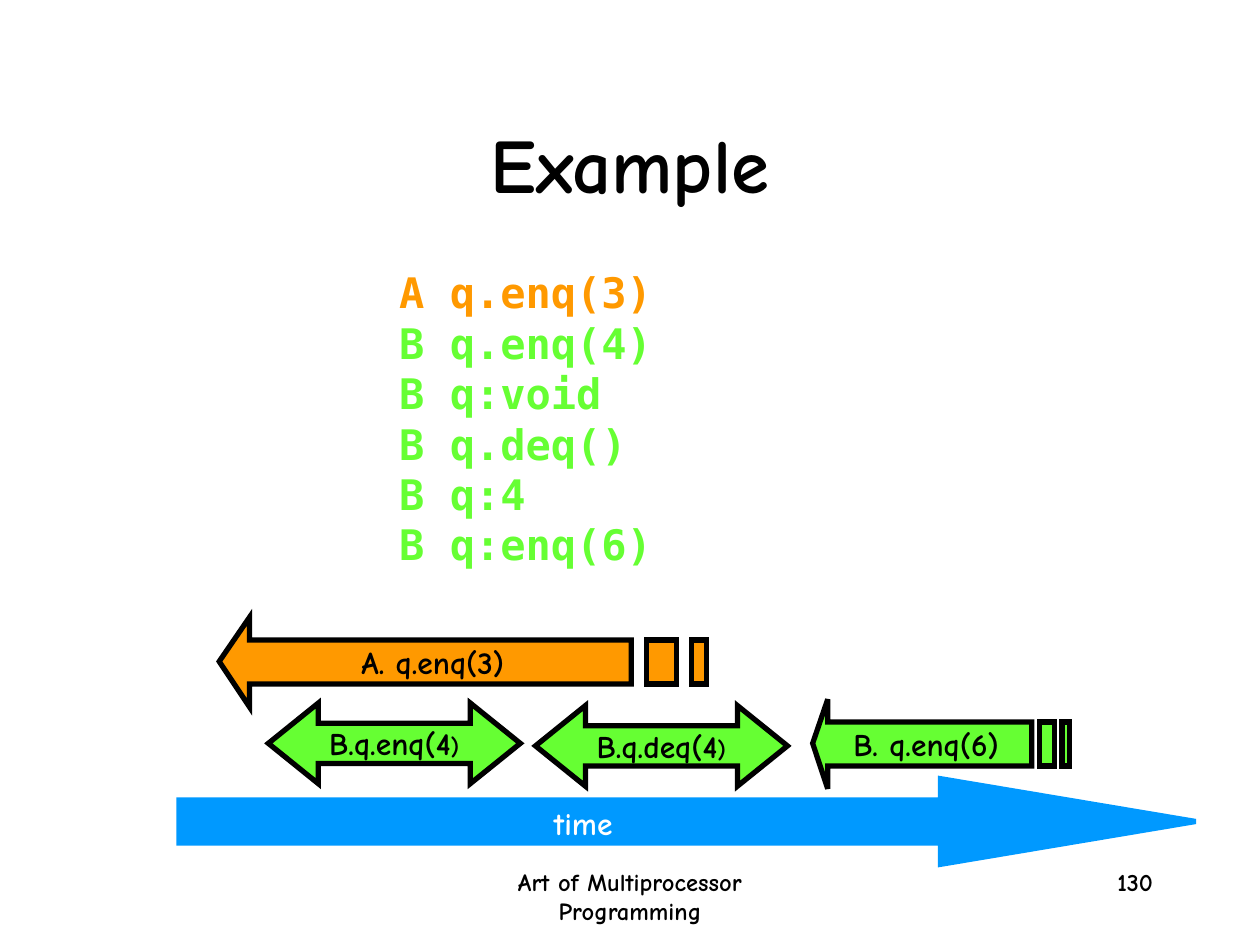
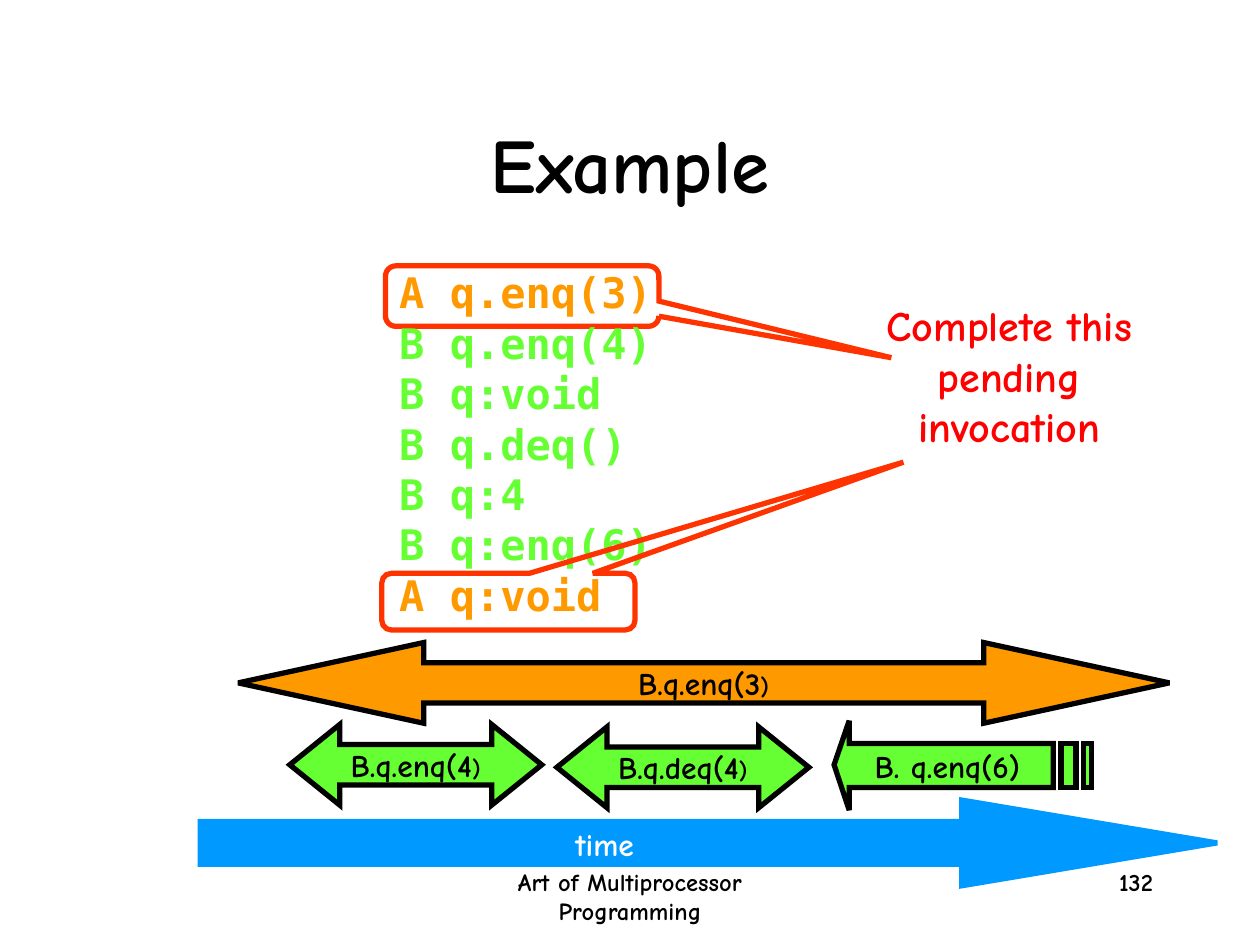
from dataclasses import dataclass

from lxml import etree
from pptx import Presentation
from pptx import util as u
from pptx.dml.color import RGBColor
from pptx.enum import shapes, text
from pptx.oxml.ns import qn

PX = u.Inches(1) // 100
KIND = shapes.MSO_SHAPE
ALIGN = text.PP_ALIGN
MID = text.MSO_ANCHOR.MIDDLE


@dataclass(frozen=True)
class Theme:
    """Colours, fonts and type sizes."""
    ink: str = "000000"
    white: str = "FFFFFF"
    orange: str = "FF9900"
    green: str = "66FF33"
    blue: str = "0099FF"
    ring: str = "FF3300"
    red: str = "FF0000"
    sans: str = "Comic Neue"
    mono: str = "DejaVu Sans Mono"
    title: int = 44
    body: int = 24
    label: int = 18
    small: int = 14
    stroke: int = 3


def write(frame, lines, size, color, font, align=ALIGN.CENTER, anchor=text.MSO_ANCHOR.TOP,
          wrap=True, pitch=None, pads=(10, 10)):
    """Fill a frame; each line is a list of (text, overrides) runs."""
    frame.word_wrap = wrap
    frame.auto_size = text.MSO_AUTO_SIZE.NONE
    frame.vertical_anchor = anchor
    frame.margin_left, frame.margin_right = (pad * PX for pad in pads)
    frame.margin_top = frame.margin_bottom = 5 * PX
    for i, line in enumerate(lines):
        para = frame.add_paragraph() if i else frame.paragraphs[0]
        para.alignment = align
        if pitch:
            para.line_spacing = u.Pt(pitch)
        for words, over in line:
            run = para.add_run()
            run.text = words
            run.font.name = font
            run.font.bold = True
            run.font.size = u.Pt(over.get("size", size))
            run.font.color.rgb = RGBColor.from_string(over.get("color", color))


class Deck:
    """Holds the theme, the file and the current slide."""

    def __init__(self, theme):
        self.theme = theme
        self.file = Presentation()
        self.file.slide_width, self.file.slide_height = 1000 * PX, 750 * PX
        self.slide = None

    def page(self, title, number):
        """Start a slide with its title and footer."""
        t = self.theme
        self.slide = self.file.slides.add_slide(self.file.slide_layouts[5])
        self.note([[("Art of Multiprocessor Programming", {})]], 342, 683, 316, 50, size=t.small)
        self.note([[(str(number), {})]], 717, 683, 208, 50, size=t.small, align=ALIGN.RIGHT)
        head = self.slide.shapes.title
        head.left, head.top, head.width, head.height = (n * PX for n in (75, 67, 850, 125))
        write(head.text_frame, [[(title, {})]], t.title, t.ink, t.sans, anchor=MID)

    def note(self, lines, x, y, w, h, size=None, color=None, font=None, **form):
        """Add a text box."""
        t = self.theme
        box = self.slide.shapes.add_textbox(x * PX, y * PX, w * PX, h * PX)
        write(box.text_frame, lines, size or t.body, color or t.ink, font or t.sans, **form)
        return box

    def paint(self, shape, fill, line):
        """Set fill and a sharp-cornered outline."""
        shape.shadow.inherit = False
        if fill:
            shape.fill.solid()
            shape.fill.fore_color.rgb = RGBColor.from_string(fill)
        else:
            shape.fill.background()
        shape.line.color.rgb = RGBColor.from_string(line)
        shape.line.width = u.Pt(self.theme.stroke)
        etree.SubElement(shape.line._get_or_add_ln(), qn("a:miter"), lim="800000")

    def shape(self, kind, x, y, w, h, adjust, fill, line):
        """Add a preset shape."""
        item = self.slide.shapes.add_shape(kind, x * PX, y * PX, w * PX, h * PX)
        for i, value in enumerate(adjust):
            item.adjustments[i] = value
        self.paint(item, fill, line)
        return item

    def label(self, item, runs, **form):
        """Write the centred label of an arrow."""
        t = self.theme
        write(item.text_frame, [runs], t.label, t.ink, t.sans, anchor=MID, wrap=False, **form)

    def span(self, call, x, y, w, fill, head=0.62):
        """Add a two-headed arrow for a finished call."""
        t = self.theme
        item = self.shape(KIND.LEFT_RIGHT_ARROW, x, y, w, 64, (0.5, head), fill, t.ink)
        self.label(item, [(call, {}), (")", {"size": t.small})])

    def open(self, call, x, y, w, unit, fill):
        """Add a left arrow with a striped tail for a pending call."""
        top, low, neck, end = y + 18, y + 53, x + 2 * unit, x + w
        tail = end - 5 * unit
        pen = self.slide.shapes.build_freeform(neck, y, scale=PX)
        pen.add_line_segments([(neck, top), (tail, top), (tail, low), (neck, low),
                               (neck, y + 71), (x, y + 35)])
        for left, right in ((end - 4 * unit, end - 2 * unit), (end - unit, end)):
            pen.move_to(right, top)
            pen.add_line_segments([(right, low), (left, low), (left, top)])
        item = pen.convert_to_shape()
        self.paint(item, fill, self.theme.ink)
        self.label(item, [(call, {})], pads=(10 + unit, 10 + 5 * unit))

    def ring(self, x, y, w, h, tip):
        """Add an outlined callout whose tail ends at tip."""
        self.shape(KIND.ROUNDED_RECTANGULAR_CALLOUT, x, y, w, h, (*tip, 0.17), None,
                   self.theme.ring)

    def code(self, calls):
        """List the history, coloured by thread."""
        t = self.theme
        hues = {"A": t.orange, "B": t.green}
        lines = [[(call, {"color": hues[call[0]]})] for call in calls]
        self.note(lines, 307, 207, 305, 10 + 40 * len(calls), font=t.mono,
                  align=ALIGN.LEFT, pitch=28.8)

    def axis(self, shift=0):
        """Add the time arrow and thread B's calls."""
        t = self.theme
        arrow = self.shape(KIND.RIGHT_ARROW, 142 + shift, 618 + shift, 807, 68, (0.5, 2.98),
                           t.blue, t.blue)
        name = self.note([[("time", {})]], 430 + shift, 633 + shift, 66, 40, size=t.label,
                         color=t.white, align=ALIGN.RIGHT, wrap=False)
        self.slide.shapes.add_group_shape([arrow, name])
        self.span("B.q.enq(4", 213 + shift, 558 + shift, 200, t.green)
        self.span("B.q.deq(4", 425 + shift, 560 + shift, 200, t.green)
        self.open("B. q.enq(6)", 645 + shift, 555 + shift, 204, 6, t.green)


def main():
    """Build both slides."""
    t = Theme()
    deck = Deck(t)
    calls = ["A q.enq(3)", "B q.enq(4)", "B q:void", "B q.deq()", "B q:4", "B q:enq(6)"]

    deck.page("Example", 130)
    deck.code(calls)
    deck.axis()
    deck.open("A. q.enq(3)", 174, 490, 387, 12, t.orange)

    deck.page("Example", 132)
    deck.ring(306, 211, 217, 48, (1.35, 1.02))
    deck.note([[("Complete this pending", {})], [("invocation", {})]], 643, 233, 316, 130,
              color=t.red)
    deck.axis(shift=17)
    deck.span("B.q.enq(3", 189, 510, 739, t.orange, head=2.3)
    deck.code(calls + ["A q:void"])
    deck.ring(303, 455, 201, 45, (1.56, -2.46))
    deck.file.save("out.pptx")


if __name__ == "__main__":
    main()
